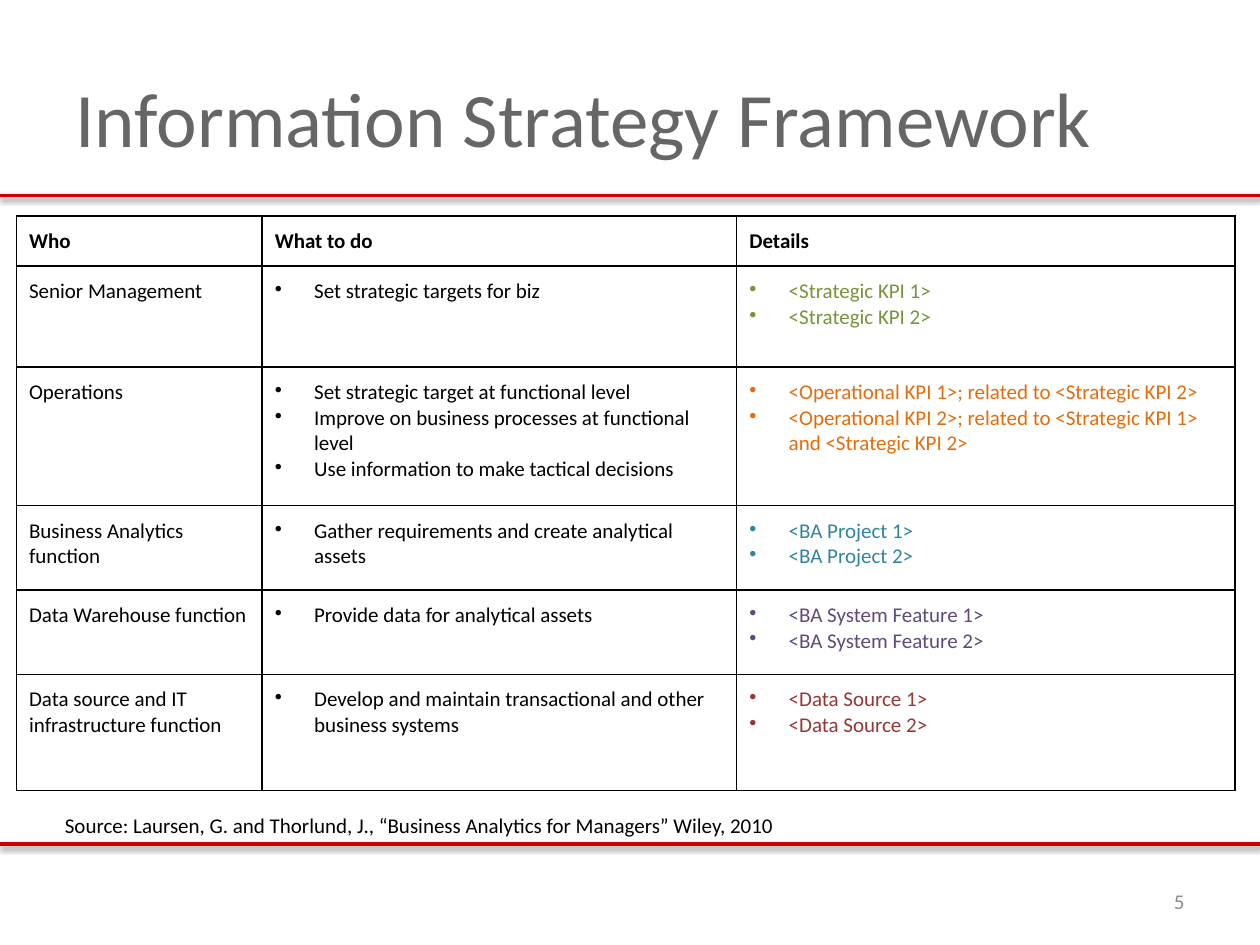
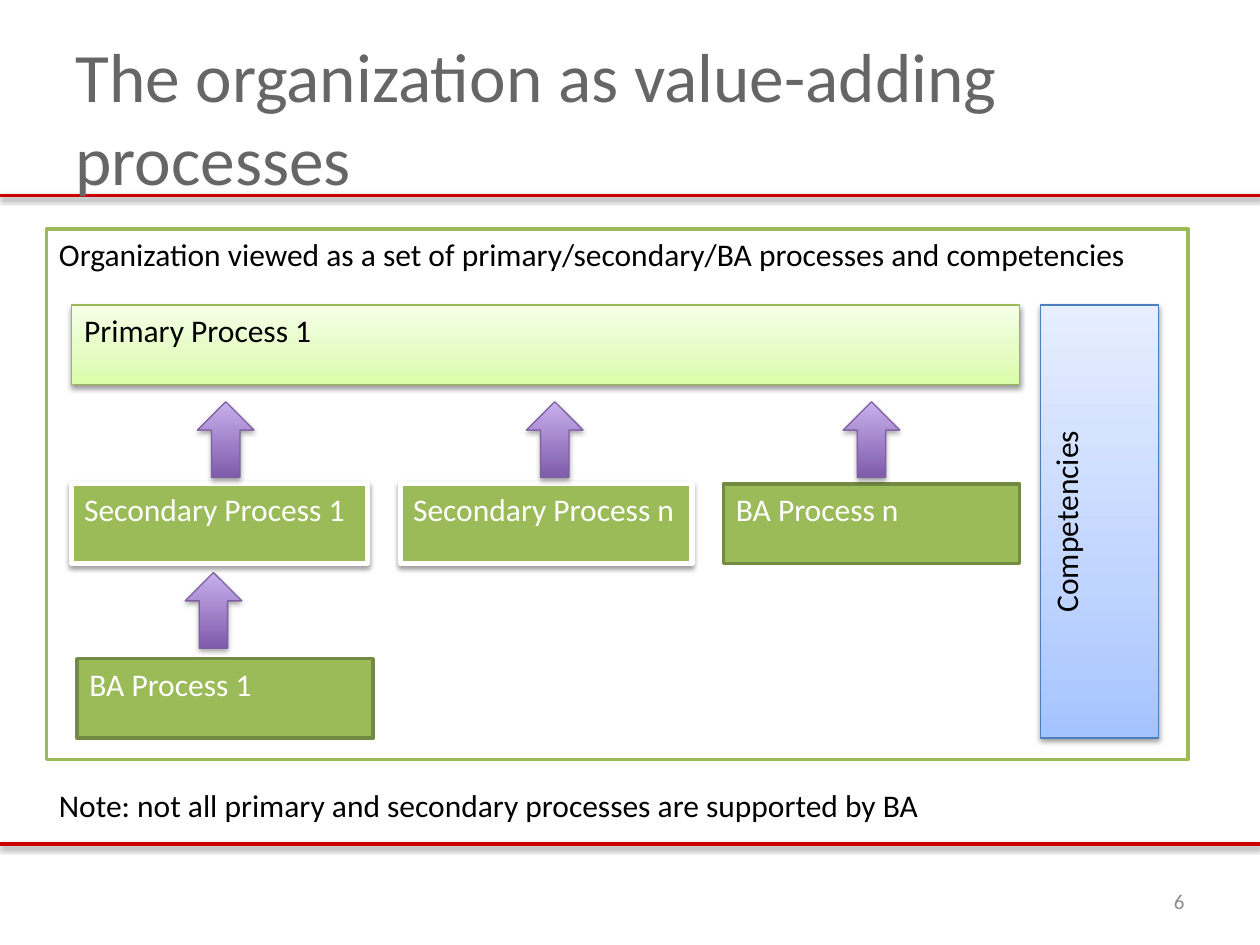
import copy

import lxml.etree
import pptx
import pptx.dml.color
import pptx.enum.shapes
import pptx.enum.text
import pptx.oxml.ns
import pptx.util

Pt = pptx.util.Pt
RGBColor = pptx.dml.color.RGBColor
Align = pptx.enum.text.PP_ALIGN
Anchor = pptx.enum.text.MSO_ANCHOR
Preset = pptx.enum.shapes.MSO_SHAPE
qn = pptx.oxml.ns.qn

BLACK = RGBColor(0x00, 0x00, 0x00)
WHITE = RGBColor(0xFF, 0xFF, 0xFF)
RED = RGBColor(0xCC, 0x00, 0x00)
TITLE_GRAY = RGBColor(0x66, 0x66, 0x66)
NUMBER_GRAY = RGBColor(0x8C, 0x8C, 0x8C)
GREEN = RGBColor(0x9B, 0xBB, 0x59)
DARK_GREEN = RGBColor(0x73, 0x8A, 0x42)
PALE_GREEN_LINE = RGBColor(0x98, 0xB9, 0x55)
BLUE_LINE = RGBColor(0x4B, 0x7E, 0xBC)
PURPLE_LINE = RGBColor(0x7D, 0x60, 0xA0)
STRATEGIC = RGBColor(0x77, 0x93, 0x3C)
OPERATIONAL = RGBColor(0xE4, 0x6C, 0x0A)
PROJECT = RGBColor(0x31, 0x85, 0x9C)
FEATURE = RGBColor(0x60, 0x4A, 0x7B)
DATA_SOURCE = RGBColor(0x95, 0x37, 0x35)
PALE_GREEN_GRADIENT = [
    (0, RGBColor(0xDA, 0xFD, 0xA7)),
    (0.35, RGBColor(0xE4, 0xFC, 0xC2)),
    (1, RGBColor(0xF5, 0xFF, 0xE7)),
]
BLUE_GRADIENT = [
    (0, RGBColor(0xA4, 0xC4, 0xFF)),
    (0.35, RGBColor(0xBF, 0xD4, 0xFF)),
    (1, RGBColor(0xE6, 0xEE, 0xFF)),
]
PURPLE_GRADIENT = [
    (0, RGBColor(0x7F, 0x5B, 0xAB)),
    (1, RGBColor(0xC8, 0xB0, 0xED)),
]

FRAMEWORK_ROWS = [
    ("Senior Management", ["Set strategic targets for biz"],
     ["<Strategic KPI 1>", "<Strategic KPI 2>"], STRATEGIC),
    ("Operations",
     ["Set strategic target at functional level",
      "Improve on business processes at functional level",
      "Use information to make tactical decisions"],
     ["<Operational KPI 1>; related to <Strategic KPI 2>",
      "<Operational KPI 2>; related to <Strategic KPI 1> and <Strategic KPI 2>"],
     OPERATIONAL),
    ("Business Analytics function",
     ["Gather requirements and create analytical assets"],
     ["<BA Project 1>", "<BA Project 2>"], PROJECT),
    ("Data Warehouse function", ["Provide data for analytical assets"],
     ["<BA System Feature 1>", "<BA System Feature 2>"], FEATURE),
    ("Data source and IT infrastructure function",
     ["Develop and maintain transactional and other business systems"],
     ["<Data Source 1>", "<Data Source 2>"], DATA_SOURCE),
]


def child(parent, tag, **attributes):
    return lxml.etree.SubElement(parent, qn(tag), attributes)


class Deck:
    font = "Calibri"
    first_number = 5

    def __init__(self):
        self.presentation = pptx.Presentation()
        self.presentation.slide_width = Pt(720)
        self.presentation.slide_height = Pt(540)
        self.slide = None

    def start_slide(self, title, title_size):
        slides = self.presentation.slides
        self.slide = slides.add_slide(self.presentation.slide_layouts[6])
        for y in (482.4, 111.6):
            self.rule(y)
        self.text(title, (36, 21.6, 648, 90), title_size, TITLE_GRAY, Anchor.MIDDLE)
        number = str(self.first_number + len(slides) - 1)
        self.text(number, (516, 500.5, 168, 28.8), 12, NUMBER_GRAY,
                  Anchor.MIDDLE, Align.RIGHT)

    def add_text_run(self, paragraph, text, size, color, bold=False):
        run = paragraph.add_run()
        run.text = text
        run.font.name = self.font
        run.font.size = Pt(size)
        run.font.color.rgb = color
        run.font.bold = bold

    def text(self, text, box, size, color=BLACK, anchor=Anchor.TOP, align=Align.LEFT):
        shape = self.slide.shapes.add_textbox(*map(Pt, box))
        self.fill_frame(shape.text_frame, text, size, color, anchor, align)

    def fill_frame(self, frame, text, size, color, anchor=Anchor.TOP, align=Align.LEFT):
        frame.word_wrap = True
        frame.vertical_anchor = anchor
        paragraph = frame.paragraphs[0]
        paragraph.alignment = align
        self.add_text_run(paragraph, text, size, color)

    def effects(self, shape, opacity):
        effect_list = child(shape._element.spPr, "a:effectLst")
        if opacity:
            shadow = child(effect_list, "a:outerShdw", blurRad=str(Pt(3.1)),
                           dist=str(Pt(1.6)), dir="5400000", rotWithShape="0")
            color = child(shadow, "a:srgbClr", val="000000")
            child(color, "a:alpha", val=str(opacity * 1000))

    def rule(self, y):
        connector = self.slide.shapes.add_connector(
            pptx.enum.shapes.MSO_CONNECTOR.STRAIGHT, 0, Pt(y), Pt(720), Pt(y))
        connector.line.color.rgb = RED
        connector.line.width = Pt(2)
        self.effects(connector, 38)

    def gradient(self, shape, stops):
        shape.fill.gradient()
        shape.fill.gradient_angle = 90
        stop_list = shape._element.spPr.find(".//" + qn("a:gsLst"))
        while len(stop_list) < len(stops):
            stop_list.append(copy.deepcopy(stop_list[0]))
        for stop, (position, color) in zip(shape.fill.gradient_stops, stops):
            stop.position = position
            stop.color.rgb = color

    def shape(self, preset, box, fill, line, line_width, shadow=0):
        shape = self.slide.shapes.add_shape(preset, *map(Pt, box))
        if isinstance(fill, list):
            self.gradient(shape, fill)
        else:
            shape.fill.solid()
            shape.fill.fore_color.rgb = fill
        shape.line.color.rgb = line
        shape.line.width = Pt(line_width)
        self.effects(shape, shadow)
        return shape

    def process(self, text, box, fill, line, line_width, color=BLACK, shadow=0,
                align=Align.LEFT):
        shape = self.shape(Preset.FLOWCHART_PROCESS, box, fill, line, line_width, shadow)
        self.fill_frame(shape.text_frame, text, 18, color, align=align)
        return shape

    def up_arrow(self, left, top):
        self.shape(Preset.UP_ARROW, (left, top, 32.4, 43.2),
                   PURPLE_GRADIENT, PURPLE_LINE, 0.75, 35)

    def cell(self, cell, lines, color=BLACK, bold=False, bullets=False):
        cell.margin_left = cell.margin_right = Pt(7.2)
        cell.margin_top = cell.margin_bottom = Pt(7.2)
        properties = cell._tc.get_or_add_tcPr()
        for side in ("a:lnL", "a:lnR", "a:lnT", "a:lnB"):
            border = child(properties, side, w=str(Pt(1)))
            child(child(border, "a:solidFill"), "a:srgbClr", val=str(BLACK))
        cell.fill.background()
        frame = cell.text_frame
        for index, line in enumerate(lines):
            paragraph = frame.add_paragraph() if index else frame.paragraphs[0]
            if bullets:
                paragraph_properties = paragraph._p.get_or_add_pPr()
                paragraph_properties.set("marL", str(Pt(22.5)))
                paragraph_properties.set("indent", str(-Pt(22.5)))
                child(paragraph_properties, "a:buChar", char="•")
            self.add_text_run(paragraph, line, 12, color, bold)

    def table(self, left, top, widths, heights, headers, rows):
        table = self.slide.shapes.add_table(
            len(heights), len(widths), Pt(left), Pt(top),
            Pt(sum(widths)), Pt(sum(heights))).table
        table.first_row = table.horz_banding = False
        for column, width in zip(table.columns, widths):
            column.width = Pt(width)
        for row, height in zip(table.rows, heights):
            row.height = Pt(height)
        for index, header in enumerate(headers):
            self.cell(table.cell(0, index), [header], bold=True)
        for index, (who, tasks, details, color) in enumerate(rows, 1):
            self.cell(table.cell(index, 0), [who])
            self.cell(table.cell(index, 1), tasks, bullets=True)
            self.cell(table.cell(index, 2), details, color, bullets=True)


def build_framework(deck):
    deck.start_slide("Information Strategy Framework", 44)
    deck.text("Source: Laursen, G. and Thorlund, J., “Business Analytics for Managers” "
              "Wiley, 2010", (30, 460.8, 636, 21.6), 12)
    deck.table(9.4, 123.3, [140.4, 271.2, 284.6], [28.5, 57.6, 79.2, 48.2, 48.2, 66.4],
               ["Who", "What to do", "Details"], FRAMEWORK_ROWS)


def build_processes(deck):
    deck.start_slide("The organization as value-adding processes", 39.6)
    left, top, height = 41, 174.4, 45.4
    middle, bottom = 276.5, 376.4
    deck.process("Organization viewed as a set of primary/secondary/BA processes "
                 "and competencies", (26.6, 131, 652.4, 303), WHITE, GREEN, 2)
    deck.process("Primary Process 1", (left, top, 541.6, height),
                 PALE_GREEN_GRADIENT, PALE_GREEN_LINE, 0.75, shadow=38)
    for text, x, width in (("Secondary Process 1", left, 169.2),
                           ("Secondary Process n", 229, 166.4)):
        deck.process(text, (x, middle, width, height), GREEN, WHITE, 3, WHITE, 38)
    for text, x, y in (("BA Process 1", 44, bottom), ("BA Process n", 413.4, middle)):
        deck.process(text, (x, y, 169.2, height), GREEN, DARK_GREEN, 2, WHITE)
    for x, y in ((112.8, 229.6), (300.8, 229.6), (481.8, 229.6), (105.8, 327.2)):
        deck.up_arrow(x, y)
    competencies = deck.process(
        "Competencies", (594.6, top, 67.2, bottom + height - top),
        BLUE_GRADIENT, BLUE_LINE, 0.75, shadow=38, align=Align.CENTER)
    competencies.text_frame._txBody.bodyPr.set("vert", "vert270")
    deck.text("Note: not all primary and secondary processes are supported by BA",
              (26.6, 445.8, 652.4, 28.8), 18)


def main():
    deck = Deck()
    build_framework(deck)
    build_processes(deck)
    deck.presentation.save("out.pptx")


if __name__ == "__main__":
    main()
